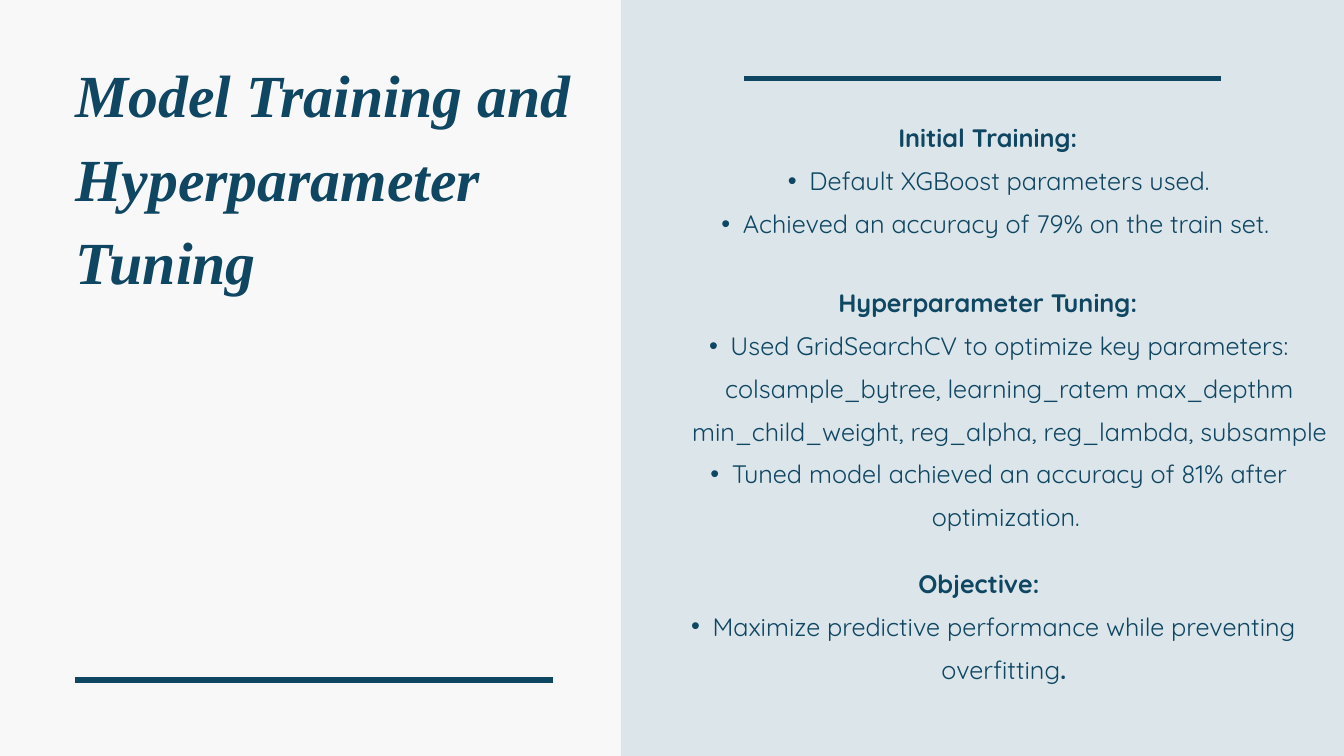
from dataclasses import dataclass

from lxml.etree import SubElement
from pptx import Presentation
from pptx.dml.color import RGBColor
from pptx.enum.shapes import MSO_CONNECTOR as Connector, MSO_SHAPE as Shape
from pptx.enum.text import MSO_AUTO_SIZE as AutoSize, PP_ALIGN as Align
from pptx.oxml.ns import qn
from pptx.util import Pt


@dataclass(frozen=True)
class Theme:
    background: RGBColor = RGBColor(0xF8, 0xF8, 0xF8)
    panel: RGBColor = RGBColor(0xDB, 0xE5, 0xEA)
    ink: RGBColor = RGBColor(0x0F, 0x46, 0x62)
    title_font: str = "Times New Roman"
    body_font: str = "Quicksand"
    title_size: float = 64
    title_leading: float = 89.6
    body_size: float = 27
    body_leading: float = 45.9
    rule_weight: float = 6
    bullet_margin: float = 46
    bullet_hang: float = 23


@dataclass(frozen=True)
class Box:
    left: float
    top: float
    width: float
    height: float


@dataclass(frozen=True)
class Bullet:
    text: str
    bold_end: str = ""


@dataclass(frozen=True)
class Section:
    box: Box
    heading: str
    bullets: tuple[Bullet, ...]


@dataclass(frozen=True)
class Rule:
    left: float
    y: float


THEME = Theme()
SLIDE_WIDTH, SLIDE_HEIGHT = 1440, 810
PANEL_LEFT = 665.3
RULE_LENGTH = 511.2
TITLE_BOX = Box(80.8, 49, 618.5, 175)

RULES = (Rule(80.8, 728.7), Rule(797, 84))

SECTIONS = (
    Section(Box(676.8, 118.1, 763.2, 133.9), "Initial Training:", (
        Bullet("Default XGBoost parameters used."),
        Bullet("Achieved an accuracy of 79% on the train set. "),
    )),
    Section(Box(676.8, 294.5, 763.2, 317.5), "Hyperparameter Tuning:", (
        Bullet("Used GridSearchCV to optimize key parameters: colsample_bytree, "
               "learning_ratem max_depthm min_child_weight, reg_alpha, "
               "reg_lambda, subsample"),
        Bullet("Tuned model achieved an accuracy of 81% after optimization. "),
    )),
    Section(Box(PANEL_LEFT, 595.4, 774.7, 180), "Objective: ", (
        Bullet("Maximize predictive performance while preventing overfitting", "."),
    )),
)


def add_frame(slide, box: Box):
    textbox = slide.shapes.add_textbox(
        Pt(box.left), Pt(box.top), Pt(box.width), Pt(box.height))
    frame = textbox.text_frame
    frame.margin_left = frame.margin_right = 0
    frame.margin_top = frame.margin_bottom = 0
    frame.word_wrap = True
    frame.auto_size = AutoSize.SHAPE_TO_FIT_TEXT
    return frame


def add_run(paragraph, text: str, font: str, size: float,
            bold: bool = False, italic: bool = False) -> None:
    run = paragraph.add_run()
    run.text = text
    run.font.name = font
    run.font.size = Pt(size)
    run.font.bold = bold
    run.font.italic = italic
    run.font.color.rgb = THEME.ink


def add_body_run(paragraph, text: str, bold: bool = False) -> None:
    add_run(paragraph, text, THEME.body_font, THEME.body_size, bold)


def set_body_layout(paragraph) -> None:
    paragraph.alignment = Align.CENTER
    paragraph.line_spacing = Pt(THEME.body_leading)


def add_bullet(frame, bullet: Bullet) -> None:
    paragraph = frame.add_paragraph()
    paragraph.level = 1
    set_body_layout(paragraph)
    properties = paragraph._p.get_or_add_pPr()
    properties.set("marL", str(Pt(THEME.bullet_margin)))
    properties.set("indent", str(-Pt(THEME.bullet_hang)))
    SubElement(properties, qn("a:buFont"), typeface="Arial")
    SubElement(properties, qn("a:buChar"), char="•")
    add_body_run(paragraph, bullet.text)
    if bullet.bold_end:
        add_body_run(paragraph, bullet.bold_end, bold=True)


def add_section(slide, section: Section) -> None:
    frame = add_frame(slide, section.box)
    heading = frame.paragraphs[0]
    set_body_layout(heading)
    add_body_run(heading, section.heading, bold=True)
    for bullet in section.bullets:
        add_bullet(frame, bullet)


def add_rule(slide, rule: Rule) -> None:
    line = slide.shapes.add_connector(
        Connector.STRAIGHT, Pt(rule.left), Pt(rule.y),
        Pt(rule.left + RULE_LENGTH), Pt(rule.y))
    line.line.color.rgb = THEME.ink
    line.line.width = Pt(THEME.rule_weight)
    SubElement(line._element.spPr, qn("a:effectLst"))


def main() -> None:
    presentation = Presentation()
    presentation.slide_width = Pt(SLIDE_WIDTH)
    presentation.slide_height = Pt(SLIDE_HEIGHT)
    slide = presentation.slides.add_slide(presentation.slide_layouts[6])
    slide.background.fill.solid()
    slide.background.fill.fore_color.rgb = THEME.background

    # Right-hand panel
    panel = slide.shapes.add_shape(
        Shape.RECTANGLE, Pt(PANEL_LEFT), 0,
        Pt(SLIDE_WIDTH - PANEL_LEFT), Pt(SLIDE_HEIGHT))
    panel.shadow.inherit = False
    panel.fill.solid()
    panel.fill.fore_color.rgb = THEME.panel
    panel.line.fill.background()

    # Title
    title = add_frame(slide, TITLE_BOX).paragraphs[0]
    title.line_spacing = Pt(THEME.title_leading)
    add_run(title, "Model Training and Hyperparameter Tuning",
            THEME.title_font, THEME.title_size, bold=True, italic=True)

    # Rules and text sections
    for rule in RULES:
        add_rule(slide, rule)
    for section in SECTIONS:
        add_section(slide, section)

    presentation.save("out.pptx")


if __name__ == "__main__":
    main()
